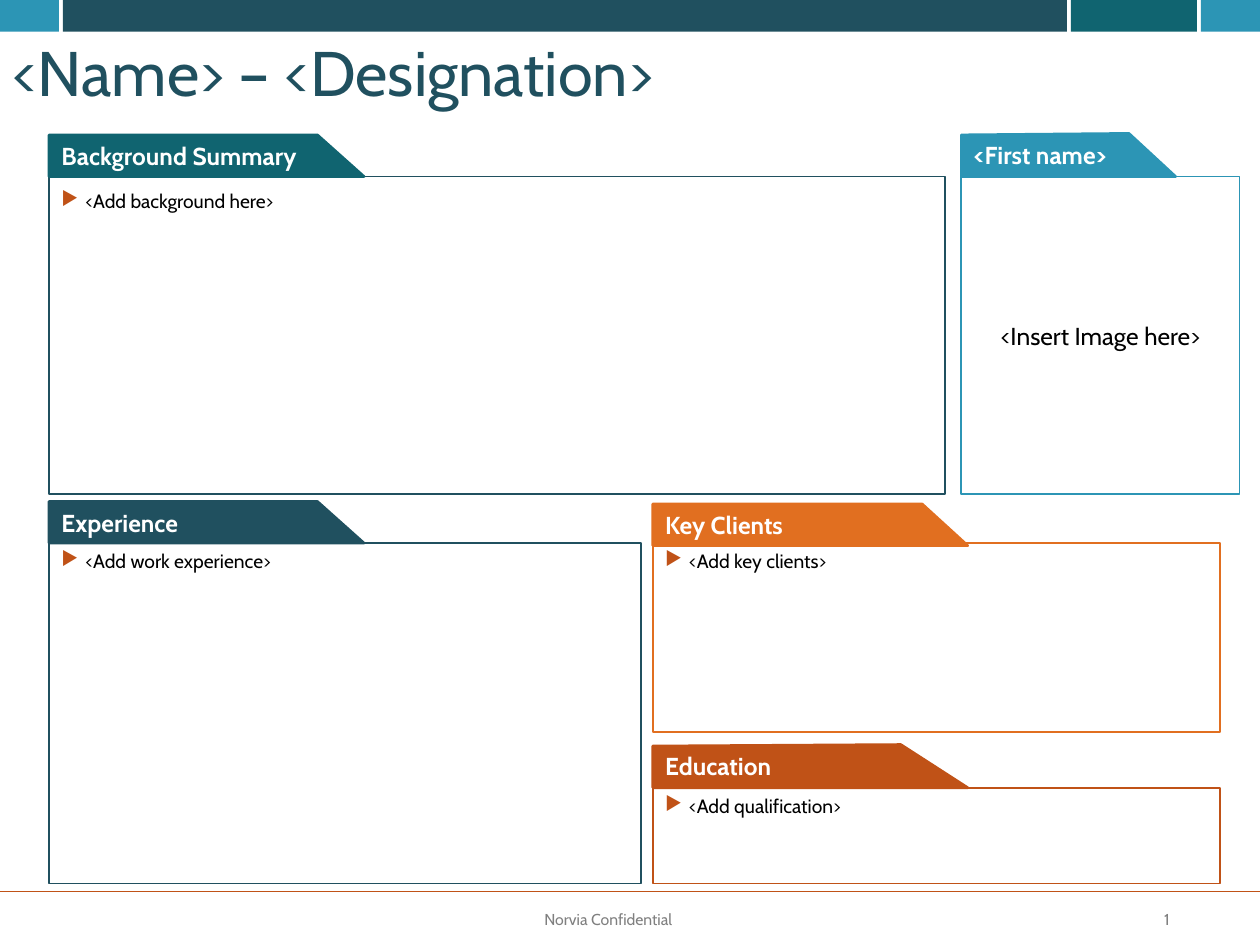
from dataclasses import dataclass
from lxml import etree
from pptx import Presentation
from pptx import util as u
from pptx.dml.color import RGBColor
from pptx.enum import shapes, text
from pptx.oxml.ns import qn


@dataclass(frozen=True)
class Theme:
    font: str = "Cabin"
    navy: str = "20505F"
    teal: str = "106470"
    blue: str = "2C95B5"
    orange: str = "E16F20"
    rust: str = "C05217"
    gray: str = "808080"
    white: str = "FFFFFF"
    black: str = "000000"
    title_size: int = 36
    heading_size: int = 14
    body_size: int = 11
    footer_size: int = 9


THEME = Theme()
WIDTH, HEIGHT = 25.4, 19.05
TITLE = "<Name> – <Designation>"
FOOTER = "Norvia Confidential"
PAGE = "1"

HEADER_BARS = [
    (0, 1.19, THEME.blue),
    (1.27, 20.24, THEME.navy),
    (21.59, 2.54, THEME.teal),
    (24.21, 1.19, THEME.blue),
]
BULLETED = dict(size=THEME.body_size, align=text.PP_ALIGN.JUSTIFY, bullet="▶",
                space_after=2)
CENTERED = dict(size=THEME.heading_size, align=text.PP_ALIGN.CENTER,
                anchor=text.MSO_ANCHOR.MIDDLE)
PANELS = [
    dict(heading="Background Summary", body="<Add background here>",
         box=(0.99, 3.56, 18.06, 6.4), line=THEME.navy, line_width=0.75,
         color=THEME.teal, tab=(2.72, 2.72, 3.56, 5.41, 6.35),
         style=dict(BULLETED, inset=0.25)),
    dict(heading="<First name>", body="<Insert Image here>",
         box=(19.38, 3.56, 5.61, 6.4), line=THEME.blue, line_width=1,
         color=THEME.blue, tab=(2.72, 2.69, 3.56, 3.38, 4.32), style=CENTERED),
    dict(heading="Education", body="<Add qualification>",
         box=(13.16, 15.88, 11.43, 1.93), line=THEME.rust, line_width=1,
         color=THEME.rust, tab=(15.04, 15.01, 15.88, 5, 6.35), style=BULLETED),
    dict(heading="Experience", body="<Add work experience>",
         box=(0.99, 10.95, 11.94, 6.86), line=THEME.navy, line_width=1,
         color=THEME.navy, tab=(10.11, 10.11, 10.95, 5.41, 6.35), style=BULLETED),
    dict(heading="Key Clients", body="<Add key clients>",
         box=(13.16, 10.95, 11.43, 3.81), line=THEME.orange, line_width=1,
         color=THEME.orange, tab=(10.16, 10.16, 11, 5.43, 6.35), style=BULLETED),
]


def rgb(value):
    return RGBColor.from_string(value)


def add_bullet(paragraph, character):
    properties = paragraph._p.get_or_add_pPr()
    indent = u.Cm(0.48)
    properties.set("marL", str(indent))
    properties.set("indent", str(-indent))
    color = etree.SubElement(properties, qn("a:buClr"))
    etree.SubElement(color, qn("a:srgbClr"), val=THEME.rust)
    etree.SubElement(properties, qn("a:buChar"), char=character)


def write(shape, content, size, color=THEME.black, bold=False,
          align=text.PP_ALIGN.LEFT, anchor=text.MSO_ANCHOR.TOP, inset=0.13,
          wrap=True, bullet=None, space_after=0, line_spacing=None):
    frame = shape.text_frame
    frame.word_wrap = wrap
    frame.vertical_anchor = anchor
    frame.margin_left = frame.margin_right = u.Cm(0.25)
    frame.margin_top = frame.margin_bottom = u.Cm(inset)
    paragraph = frame.paragraphs[0]
    if bullet:
        add_bullet(paragraph, bullet)
    paragraph.alignment = align
    paragraph.space_after = u.Pt(space_after)
    if line_spacing:
        paragraph.line_spacing = line_spacing
    run = paragraph.add_run()
    run.text = content
    run.font.name = THEME.font
    run.font.size = u.Pt(size)
    run.font.bold = bold
    run.font.color.rgb = rgb(color)


def paint(shape, fill=None, line=None, line_width=1):
    shape.shadow.inherit = False
    if fill:
        shape.fill.solid()
        shape.fill.fore_color.rgb = rgb(fill)
    else:
        shape.fill.background()
    if line:
        shape.line.color.rgb = rgb(line)
        shape.line.width = u.Pt(line_width)
    else:
        shape.line.fill.background()


def add_rectangle(slide, box, **look):
    shape = slide.shapes.add_shape(shapes.MSO_SHAPE.RECTANGLE, *map(u.Cm, box))
    paint(shape, **look)
    return shape


def add_text(slide, box, content, **style):
    write(slide.shapes.add_textbox(*map(u.Cm, box)), content, **style)


def add_tab(slide, left, tab, color):
    left_top, right_top, bottom, shoulder, width = tab
    points = [(left, left_top), (left + shoulder, right_top),
              (left + width, bottom), (left, bottom)]
    start, *corners = [(u.Cm(x), u.Cm(y)) for x, y in points]
    builder = slide.shapes.build_freeform(*start)
    builder.add_line_segments(corners, close=True)
    shape = builder.convert_to_shape()
    paint(shape, fill=color, line=color, line_width=1.5)
    return shape


def add_panel(slide, panel):
    box = add_rectangle(slide, panel["box"], line=panel["line"],
                        line_width=panel["line_width"])
    write(box, panel["body"], **panel["style"])
    tab = add_tab(slide, panel["box"][0], panel["tab"], panel["color"])
    write(tab, panel["heading"], size=THEME.heading_size, color=THEME.white,
          bold=True, anchor=text.MSO_ANCHOR.MIDDLE)


def add_footer(slide):
    style = dict(size=THEME.footer_size, color=THEME.gray, wrap=False)
    add_text(slide, (23.22, 18.21, 0.91, 0.64), PAGE, **style)
    add_text(slide, (10.67, 18.21, 3.18, 0.66), FOOTER,
             align=text.PP_ALIGN.CENTER, **style)
    rule = slide.shapes.add_connector(shapes.MSO_CONNECTOR.STRAIGHT, 0, u.Cm(17.98),
                                      u.Cm(WIDTH), u.Cm(17.98))
    rule.line.color.rgb = rgb(THEME.rust)
    rule.line.width = u.Pt(0.5)
    etree.SubElement(rule._element.spPr, qn("a:effectLst"))


def main():
    presentation = Presentation()
    presentation.slide_width = u.Cm(WIDTH)
    presentation.slide_height = u.Cm(HEIGHT)
    slide = presentation.slides.add_slide(presentation.slide_layouts[6])
    add_footer(slide)
    for left, width, color in HEADER_BARS:
        add_rectangle(slide, (left, 0, width, 0.64), fill=color)
    add_text(slide, (0, 0.64, WIDTH, 1.78), TITLE, size=THEME.title_size,
             color=THEME.navy, anchor=text.MSO_ANCHOR.MIDDLE, line_spacing=0.9)
    for panel in PANELS:
        add_panel(slide, panel)
    presentation.save("out.pptx")


if __name__ == "__main__":
    main()
